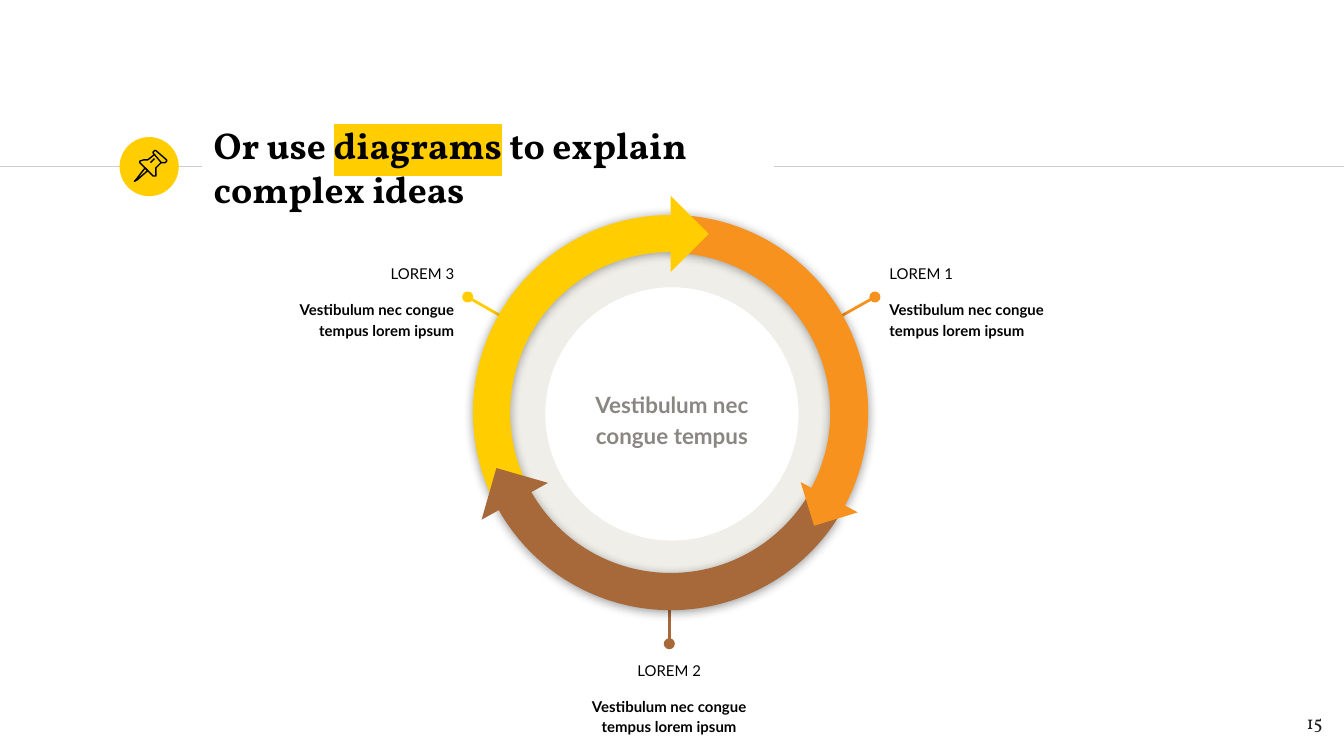
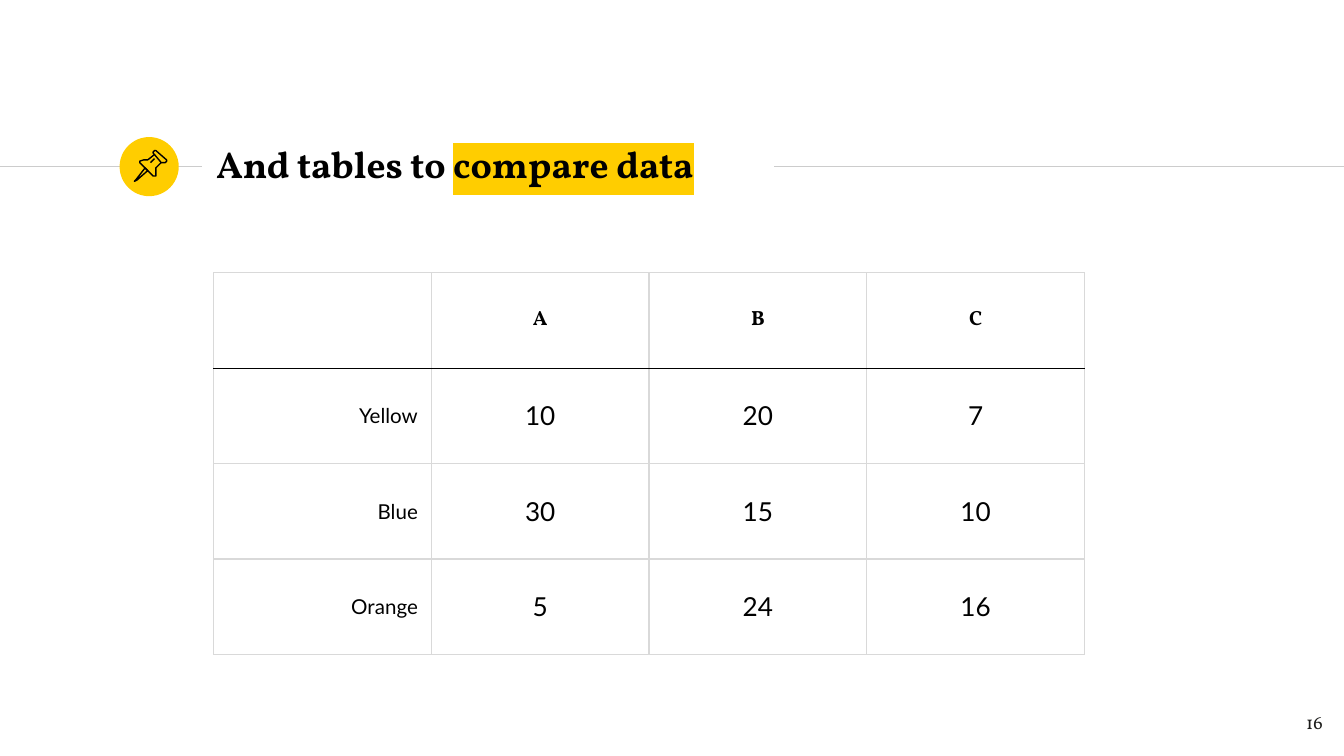
from dataclasses import dataclass

from lxml import etree
from pptx import Presentation
from pptx.dml.color import RGBColor
from pptx.enum.shapes import MSO_CONNECTOR, MSO_SHAPE as SHAPE
from pptx.enum.text import MSO_ANCHOR as ANCHOR, MSO_AUTO_SIZE, PP_ALIGN as ALIGN
from pptx.oxml.ns import qn
from pptx.util import Inches, Pt


@dataclass(frozen=True)
class Theme:
    yellow: RGBColor = RGBColor(0xFF, 0xCD, 0x00)
    orange: RGBColor = RGBColor(0xF6, 0x92, 0x1D)
    brown: RGBColor = RGBColor(0xA7, 0x69, 0x3A)
    track: RGBColor = RGBColor(0xF0, 0xEE, 0xE9)
    rule: RGBColor = RGBColor(0xCC, 0xCC, 0xCC)
    grid: RGBColor = RGBColor(0xD9, 0xD9, 0xD9)
    black: RGBColor = RGBColor(0, 0, 0)
    muted: RGBColor = RGBColor(0x8A, 0x86, 0x82)
    number: RGBColor = RGBColor(0x1D, 0x1D, 0x1B)
    serif: str = "Vollkorn"
    sans: str = "Lato"
    title_size: int = 20
    value_size: int = 14
    hub_size: int = 12
    header_size: int = 11
    number_size: int = 10
    label_size: int = 8
    thin: float = 0.75
    spoke: float = 1.5


THEME = Theme()

# Pushpin strokes, in hundredths of an inch from the disc's corner: points, closed
PIN_STROKES = [
    ([(19, 23), (12, 32), (11, 33), (13, 32), (21, 25)], True),
    ([(26, 13), (31, 19), (32, 19), (34, 19), (35, 18),
      (35, 17), (27, 10), (26, 10), (25, 11), (25, 12)], True),
    ([(26, 13), (21, 17), (18, 17), (15, 18), (15, 19),
      (25, 29), (27, 29), (27, 23), (31, 19)], False),
    ([(23, 19), (26, 16)], False),
]


# Helpers
def inches(*lengths):
    return [Inches(length) for length in lengths]


def sub(parent, tag, **attributes):
    return etree.SubElement(parent, qn(tag), attributes)


def style(paragraph, size, color, face=THEME.sans, bold=False, align=ALIGN.LEFT):
    paragraph.alignment = align
    font = paragraph.font
    font.size, font.name, font.bold = Pt(size), face, bold
    font.color.rgb = color


def set_frame(frame, anchor=ANCHOR.TOP):
    frame.word_wrap = True
    frame.auto_size = MSO_AUTO_SIZE.NONE
    frame.vertical_anchor = anchor
    frame.margin_left = frame.margin_right = Inches(0.1)
    frame.margin_top = frame.margin_bottom = Inches(0.1)


def add_text(slide, box, anchor=ANCHOR.TOP):
    frame = slide.shapes.add_textbox(*inches(*box)).text_frame
    set_frame(frame, anchor)
    return frame


def add_solid(slide, preset, box, color, rotation=0):
    shape = slide.shapes.add_shape(preset, *inches(*box))
    shape.shadow.inherit = False
    shape.fill.solid()
    shape.fill.fore_color.rgb = color
    shape.line.fill.background()
    shape.rotation = rotation
    return shape


def add_line(slide, start, end, color, width, dot=False):
    line = slide.shapes.add_connector(
        MSO_CONNECTOR.STRAIGHT, *inches(*start, *end))
    line.line.color.rgb = color
    line.line.width = Pt(width)
    properties = line._element.spPr
    if dot:
        sub(properties.find(qn("a:ln")), "a:headEnd", type="oval")
    sub(properties, "a:effectLst")
    return line


# Shared parts
def move_band_to_layout(slide, middle=1.24):
    """Draw the rules and the disc, then hand them to the slide's layout."""
    band = [
        add_line(slide, (0, middle), (1.5, middle), THEME.rule, THEME.thin),
        add_solid(slide, SHAPE.OVAL, (0.89, middle - 0.22, 0.44, 0.44), THEME.yellow),
        add_line(slide, (5.76, middle), (10, middle), THEME.rule, THEME.thin),
    ]
    for part in band:
        slide.slide_layout.shapes._spTree.append(part._element)


def add_title(slide, box, pieces):
    """Pieces are (text, highlighted) pairs."""
    title = slide.shapes.title
    title.left, title.top, title.width, title.height = inches(*box)
    set_frame(title.text_frame, ANCHOR.MIDDLE)
    paragraph = title.text_frame.paragraphs[0]
    for text, highlighted in pieces:
        run = paragraph.add_run()
        run.text = text
        if highlighted:
            highlight = sub(run._r.get_or_add_rPr(), "a:highlight")
            sub(highlight, "a:srgbClr", val=str(THEME.yellow))
    style(paragraph, THEME.title_size, THEME.black, THEME.serif, bold=True)


def add_pushpin(slide, left=89, top=102):
    pin = slide.shapes.add_group_shape()
    for points, closed in PIN_STROKES:
        start, *rest = [(left + x, top + y) for x, y in points]
        builder = pin.shapes.build_freeform(*start, scale=Inches(0.01))
        builder.add_line_segments(rest, close=closed)
        stroke = builder.convert_to_shape()
        stroke.shadow.inherit = False
        stroke.fill.background()
        stroke.line.color.rgb = THEME.black
        stroke.line.width = Pt(THEME.thin)


def add_number(slide, number):
    paragraph = add_text(slide, (9.34, 5.19, 0.6, 0.43)).paragraphs[0]
    paragraph.text = str(number)
    style(paragraph, THEME.number_size, THEME.number, THEME.serif, align=ALIGN.RIGHT)


# Cycle diagram
def add_arc(slide, box, color, rotation, start, end, thickness, flipped):
    arc = add_solid(slide, SHAPE.BLOCK_ARC, box, color, rotation)
    # Angles are stored in 60000ths of a degree, adjustments in 100000ths
    for index, value in enumerate((start * 0.6, end * 0.6, thickness)):
        arc.adjustments[index] = value
    properties = arc._element.spPr
    if flipped:
        properties.get_or_add_xfrm().set("flipH", "1")
    shadow = sub(properties.find(qn("a:effectLst")), "a:outerShdw",
                 blurRad=str(Pt(5.6)), dist=str(Pt(0.8)), dir="5400000",
                 algn="ctr", rotWithShape="0")
    sub(sub(shadow, "a:srgbClr", val=str(THEME.black)), "a:alpha", val="40000")


def add_callout(slide, corner, heading, body, align):
    frame = add_text(slide, (*corner, 1.64, 0.73))
    paragraphs = frame.paragraphs[0], frame.add_paragraph()
    for paragraph, text, bold in zip(paragraphs, (heading, body), (False, True)):
        paragraph.text = text
        paragraph.line_spacing = 1.15
        style(paragraph, THEME.label_size, THEME.black, bold=bold, align=align)
    paragraphs[1].space_before = Pt(8.5)


def add_cycle(slide, left, top, size):
    def at(x, y):
        return left + x, top + y

    add_solid(slide, SHAPE.DONUT, (*at(0.09, 0.09), 2.78, 2.78),
              THEME.track).adjustments[0] = 0.161

    # Callouts: spoke from the dot to the ring, then the text
    callouts = [
        ("LOREM 3", THEME.yellow, (-0.04, 0.61), (0.43, 0.88), (-1.68, 0.25), ALIGN.RIGHT),
        ("LOREM 1", THEME.orange, (2.99, 0.61), (2.51, 0.88), (3, 0.25), ALIGN.LEFT),
        ("LOREM 2", THEME.brown, (1.46, 3.19), (1.46, 2.68), (0.64, 3.2), ALIGN.CENTER),
    ]
    for heading, color, dot, ring, corner, align in callouts:
        add_line(slide, at(*dot), at(*ring), color, THEME.spoke, dot=True)
        add_callout(slide, at(*corner), heading,
                    "Vestibulum nec congue tempus lorem ipsum", align)

    # Hub
    hub = add_text(slide, (*at(0.69, 1.07), 1.58, 0.88), ANCHOR.MIDDLE).paragraphs[0]
    hub.text = "Vestibulum nec congue tempus"
    hub.line_spacing = 1.15
    style(hub, THEME.hub_size, THEME.muted, bold=True, align=ALIGN.CENTER)

    # Arcs and their arrowheads, in stacking order
    ring_box = (left, top, size, size)

    def add_head(x, y, side, color, rotation):
        add_solid(slide, SHAPE.RIGHT_TRIANGLE, (*at(x, y), side, side), color, rotation)

    add_arc(slide, ring_box, THEME.orange, 30, 240.24, 0.01, 0.096, False)
    add_arc(slide, ring_box, THEME.yellow, 330, 239.14, 357.88, 0.094, True)
    add_head(1.27, -0.06, 0.4, THEME.yellow, 225)
    add_arc(slide, ring_box, THEME.brown, 210, 238.6, 358.38, 0.094, True)
    add_head(2.48, 1.93, 0.34, THEME.orange, 342.9)
    add_head(0.11, 1.93, 0.4, THEME.brown, 106)


# Comparison table
def set_borders(cell, **colors):
    properties = cell._tc.get_or_add_tcPr()
    for side in "LRTB":
        border = sub(properties, f"a:ln{side}", w=str(Pt(THEME.thin)))
        color = colors.get(side, THEME.grid)
        sub(sub(border, "a:solidFill"), "a:srgbClr", val=str(color))


def add_comparison(slide, left, top, column_width, row_height, rows):
    columns = len(rows[0])
    table = slide.shapes.add_table(
        len(rows), columns,
        *inches(left, top, column_width * columns, row_height * len(rows))).table
    table.first_row = table.horz_banding = False
    for column in table.columns:
        column.width = Inches(column_width)
    for r, values in enumerate(rows):
        table.rows[r].height = Inches(row_height)
        for c, value in enumerate(values):
            cell = table.cell(r, c)
            edge = {0: {"B": THEME.black}, 1: {"T": THEME.black}}.get(r, {})
            set_borders(cell, **edge)
            cell.fill.background()
            cell.vertical_anchor = ANCHOR.MIDDLE
            cell.margin_left = cell.margin_right = Inches(0.1)
            cell.margin_top = cell.margin_bottom = Inches(0.07)
            paragraph = cell.text_frame.paragraphs[0]
            paragraph.text = value
            header, label = r == 0, c == 0
            style(paragraph,
                  THEME.header_size if header or label else THEME.value_size,
                  THEME.black, THEME.serif if header else THEME.sans, bold=header,
                  align=ALIGN.RIGHT if label else ALIGN.CENTER)


# Slides
def build_diagram_slide(slide):
    add_title(slide, (1.49, 1, 4.25, 0.48),
              [("Or use ", False), ("diagrams", True),
               (" to explain complex ideas", False)])
    add_pushpin(slide)
    add_number(slide, 15)
    add_cycle(slide, 3.52, 1.6, 2.94)


def build_table_slide(slide):
    add_title(slide, (1.51, 0.98, 4.24, 0.48),
              [("And tables to ", False), ("compare data", True)])
    add_comparison(slide, 1.59, 2.03, 1.62, 0.71, [
        ("", "A", "B", "C"),
        ("Yellow", "10", "20", "7"),
        ("Blue", "30", "15", "10"),
        ("Orange", "5", "24", "16"),
    ])
    add_pushpin(slide)
    add_number(slide, 16)


def main():
    deck = Presentation()
    deck.slide_width = Inches(10)
    deck.slide_height = deck.slide_width * 9 // 16
    title_only = deck.slide_layouts[5]
    diagram_slide, table_slide = [deck.slides.add_slide(title_only) for _ in range(2)]
    move_band_to_layout(diagram_slide)
    build_diagram_slide(diagram_slide)
    build_table_slide(table_slide)
    deck.save("out.pptx")


if __name__ == "__main__":
    main()
